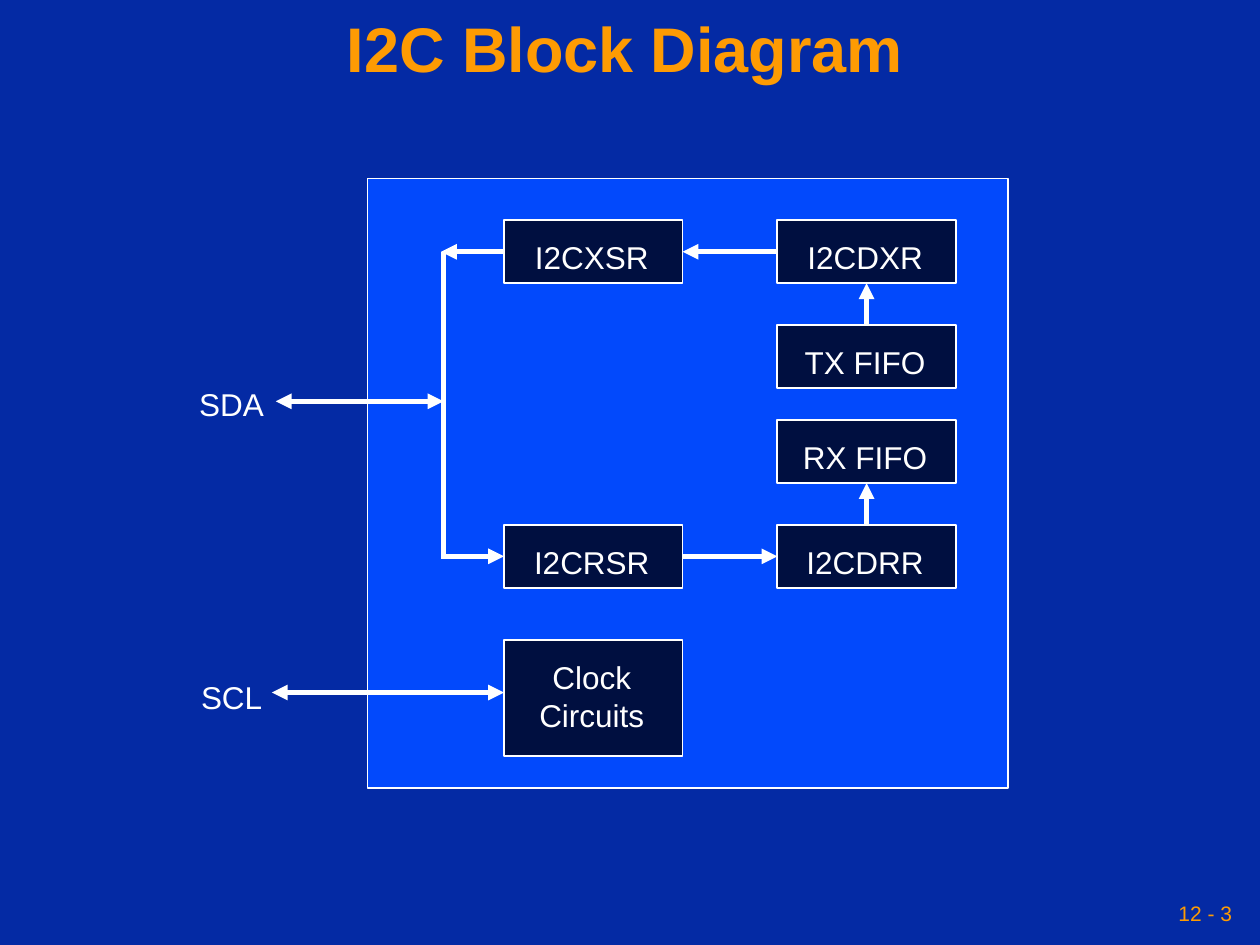
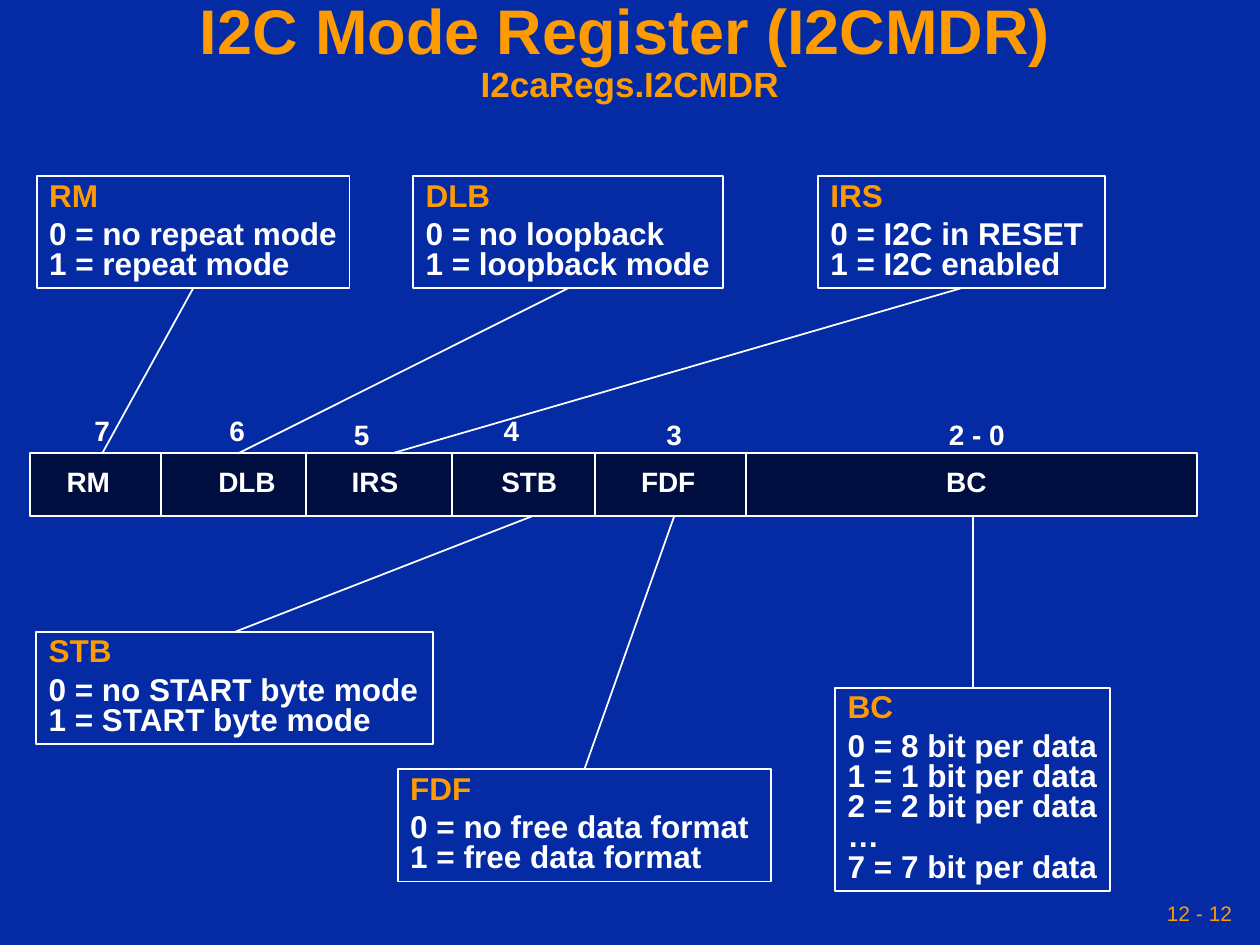
from dataclasses import dataclass
from typing import NamedTuple

from lxml.etree import SubElement
from pptx import Presentation
from pptx.dml.color import RGBColor
from pptx.enum.shapes import MSO_CONNECTOR, MSO_SHAPE
from pptx.enum.text import MSO_ANCHOR, PP_ALIGN
from pptx.oxml.ns import qn
from pptx.util import Cm, Pt


@dataclass(frozen=True)
class Theme:
    font: str = "Arial"
    back: str = "042AA4"
    panel: str = "0249FC"
    block: str = "000F40"
    gold: str = "FE9B03"
    white: str = "FFFFFF"
    title: int = 36
    sub: int = 20
    body: int = 18
    bit: int = 16
    foot: int = 12
    thin: float = 1
    thick: float = 3


class Box(NamedTuple):
    x: float
    y: float
    w: float
    h: float

    def inner(self, x, y, w, h):
        return Box(self.x + x, self.y + y, w, h)

    def point(self, x, y):
        return self.x + x, self.y + y


class Port(NamedTuple):
    shape: object
    side: int


LOOK = Theme()
TOP, LEFT, BASE, RIGHT = range(4)
PAGE = Box(0, 0, 25.4, 19.05)


# Shared helpers

def tint(code):
    return RGBColor.from_string(code)


def setup(frame, anchor=MSO_ANCHOR.TOP, pads=(0.25, 0.13, 0.25, 0.13)):
    frame.word_wrap = True
    frame.vertical_anchor = anchor
    frame.margin_left, frame.margin_top, frame.margin_right, frame.margin_bottom = map(Cm, pads)
    return frame


def write(para, text, size, color=LOOK.white, bold=False):
    run = para.add_run()
    run.text = text
    font = run.font
    font.name, font.size, font.bold = LOOK.font, Pt(size), bold
    font.color.rgb = tint(color)


def lines(frame, count, align, space=1.0):
    """Yield the given number of formatted paragraphs."""
    for i in range(count):
        para = frame.add_paragraph() if i else frame.paragraphs[0]
        para.alignment, para.line_spacing = align, space
        yield para


def label(slide, box, text, size, bold=False, space=1.0):
    frame = setup(slide.shapes.add_textbox(*map(Cm, box)).text_frame, pads=(0, 0.13, 0, 0.13))
    para, = lines(frame, 1, PP_ALIGN.CENTER, space)
    write(para, text, size, bold=bold)


def rect(slide, box, fill=None):
    shape = slide.shapes.add_shape(MSO_SHAPE.RECTANGLE, *map(Cm, box))
    shape.shadow.inherit = False
    if fill:
        shape.fill.solid()
        shape.fill.fore_color.rgb = tint(fill)
    else:
        shape.fill.background()
    shape.line.color.rgb = tint(LOOK.white)
    shape.line.width = Pt(LOOK.thin)
    return shape


def link(slide, start, end, width=LOOK.thin, heads=()):
    """Draw a line between two ends, each a Port or a point in cm."""
    ends = [(0, 0) if isinstance(e, Port) else e for e in (start, end)]
    line = slide.shapes.add_connector(MSO_CONNECTOR.STRAIGHT, *map(Cm, ends[0] + ends[1]))
    if isinstance(start, Port):
        line.begin_connect(*start)
    if isinstance(end, Port):
        line.end_connect(*end)
    line.line.color.rgb = tint(LOOK.white)
    line.line.width = Pt(width)
    props = line.element.spPr
    for head in heads:
        SubElement(props.find(qn("a:ln")), qn(f"a:{head}"), type="triangle")
    SubElement(props, qn("a:effectLst"))


def arrow(slide, start, end, heads=("tailEnd",)):
    link(slide, start, end, LOOK.thick, heads)


def base(deck, title, page, sub=None):
    """Add a slide with its title and page number."""
    slide = deck.slides.add_slide(deck.slide_layouts[6])
    pads = (0.13,) * 4
    head = slide.shapes.add_textbox(*map(Cm, PAGE.inner(0, 0, 25.2, 2.12)))
    para, = lines(setup(head.text_frame, MSO_ANCHOR.MIDDLE, pads), 1, PP_ALIGN.CENTER, 0.9)
    write(para, title, LOOK.title, LOOK.gold, True)
    if sub:
        para.add_line_break()
        write(para, sub, LOOK.sub, LOOK.gold, True)
    foot = slide.shapes.add_textbox(*map(Cm, PAGE.inner(17.35, 17.99, 7.62, 0.85)))
    para, = lines(setup(foot.text_frame, MSO_ANCHOR.MIDDLE, pads), 1, PP_ALIGN.RIGHT)
    write(para, page, LOOK.foot, LOOK.gold)
    return slide


# Block diagram

def block(slide, box, *words):
    shape = rect(slide, box, LOOK.block)
    frame = setup(shape.text_frame, pads=(0, 0.36, 0.06, 0))
    for para, word in zip(lines(frame, len(words), PP_ALIGN.CENTER), words):
        write(para, word, LOOK.body)
    return shape


def diagram(slide, box):
    rect(slide, box, LOOK.panel)
    wide, high = 3.6, 1.27
    near, far = 2.75, 8.26
    rows = 0.84, 2.96, 4.87, 6.98

    # Registers and buffers
    send = block(slide, box.inner(near, rows[0], wide, high), "I2CXSR")
    take = block(slide, box.inner(near, rows[3], wide, high), "I2CRSR")
    names = "I2CDXR", "TX FIFO", "RX FIFO", "I2CDRR"
    out, queue, store, got = [
        block(slide, box.inner(far, y, wide, high), name) for y, name in zip(rows, names)]
    block(slide, box.inner(near, 9.3, wide, 2.34), "Clock", "Circuits")

    # Data flow
    bus = 1.53
    upper, lower = rows[0] + high / 2, rows[3] + high / 2
    arrow(slide, Port(queue, TOP), Port(out, BASE))
    arrow(slide, Port(got, TOP), Port(store, BASE))
    arrow(slide, Port(out, LEFT), Port(send, RIGHT))
    arrow(slide, Port(take, RIGHT), Port(got, LEFT))
    arrow(slide, Port(send, LEFT), box.point(bus - 0.05, upper))
    arrow(slide, box.point(bus - 0.05, lower), Port(take, LEFT))
    arrow(slide, box.point(bus, upper), box.point(bus, lower), ())

    # Pins
    pins = ("SDA", 4.49, 4.04, -1.85, bus), ("SCL", 10.36, 9.94, -1.93, near)
    for name, y, top, left, right in pins:
        arrow(slide, box.point(left, y), box.point(right, y), ("headEnd", "tailEnd"))
        label(slide, box.inner(-3.63, top, 1.78, 1.02), name, LOOK.body)


# Mode register

def strip(slide, box, fields):
    """Draw the register with its field names and bit numbers."""
    rect(slide, box, LOOK.block)
    for x in (2.64, 5.56, 8.51, 11.38, 14.43):
        link(slide, box.point(x, 0), box.point(x, box.h))
    wide, high = 2, 0.81
    for name, mid, bits, spot, lift in fields:
        label(slide, box.inner(mid - wide / 2, 0.23, wide, high), name, LOOK.bit, True, 0.8)
        label(slide, box.inner(spot - wide / 2, -lift, wide, high), bits, LOOK.bit, True, 0.8)


def card(slide, box, name, *items):
    shape = rect(slide, box)
    frame = setup(shape.text_frame, MSO_ANCHOR.MIDDLE, (0.25, 0.13, 0, 0.13))
    head, *rest = lines(frame, len(items) + 1, PP_ALIGN.LEFT, 0.8)
    head.space_after = Pt(4.5)
    write(head, name, LOOK.body, LOOK.gold, True)
    for para, item in zip(rest, items):
        write(para, item, LOOK.body, bold=True)
    return shape


def register(slide, box):
    # Name, its centre, bits, their centre, and their lift above the strip
    strip(slide, box, (
        ("RM", 1.17, "7", 1.45, 0.81),
        ("DLB", 4.37, "6", 4.17, 0.81),
        ("IRS", 6.95, "5", 6.68, 0.73),
        ("STB", 10.06, "4", 9.7, 0.81),
        ("FDF", 12.86, "3", 12.98, 0.73),
        ("BC", 18.87, "2 - 0", 19.08, 0.73),
    ))
    # Card place, leader foot on the strip, and card text
    above, high = -5.59, 2.26
    cards = (
        ((0.13, above, 6.31, high), 1.45, "RM", "0 = no repeat mode", "1 = repeat mode"),
        ((7.72, above, 6.25, high), 4.19, "DLB", "0 = no loopback", "1 = loopback mode"),
        ((15.88, above, 5.78, high), 7.29, "IRS", "0 = I2C in RESET", "1 = I2C enabled"),
        ((0.12, 3.6, 8, high), 10.11, "STB", "0 = no START byte mode", "1 = START byte mode"),
        ((7.41, 6.37, 7.52, high), 12.98, "FDF", "0 = no free data format",
         "1 = free data format"),
        ((16.23, 4.73, 5.54, 4.09), 19, "BC", "0 = 8 bit per data", "1 = 1 bit per data",
         "2 = 2 bit per data", "…", "7 = 7 bit per data"),
    )
    for place, foot, *text in cards:
        shape = card(slide, box.inner(*place), *text)
        over = place[1] < 0
        link(slide, Port(shape, BASE if over else TOP), box.point(foot, 0 if over else box.h))


def main():
    deck = Presentation()
    deck.slide_width, deck.slide_height = Cm(PAGE.w), Cm(PAGE.h)
    fill = deck.slide_master.background.fill
    fill.solid()
    fill.fore_color.rgb = tint(LOOK.back)

    diagram(base(deck, "I2C Block Diagram", "12 - 3"), PAGE.inner(7.41, 3.6, 12.91, 12.28))
    modes = base(deck, "I2C Mode Register (I2CMDR)", "12 - 12", " I2caRegs.I2CMDR")
    register(modes, PAGE.inner(0.61, 9.14, 23.52, 1.27))
    deck.save("out.pptx")


if __name__ == "__main__":
    main()
